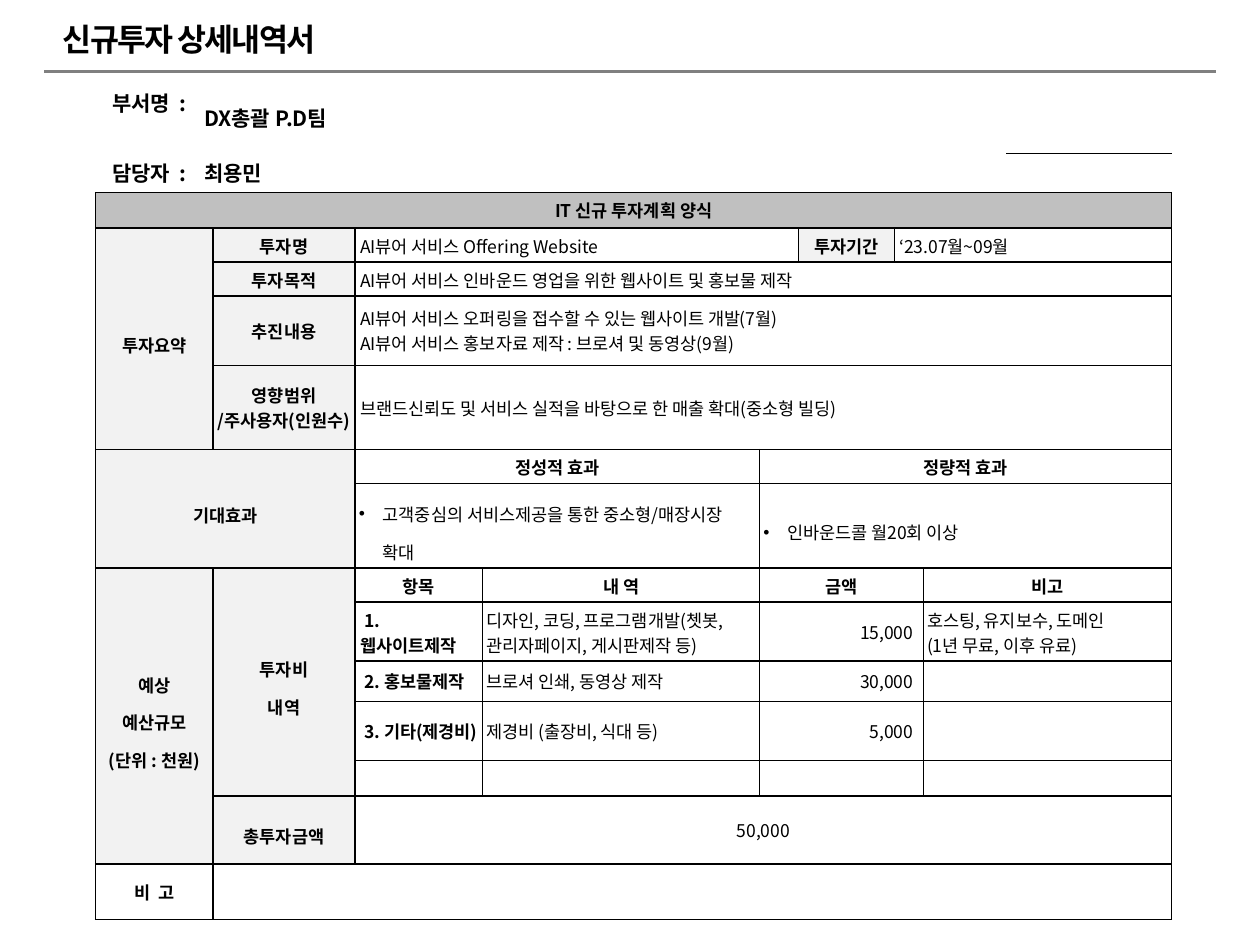
from copy import deepcopy
from dataclasses import dataclass
from itertools import product

from lxml.etree import SubElement
from pptx import Presentation
from pptx.dml.color import RGBColor
from pptx.enum.shapes import MSO_CONNECTOR as Connector
from pptx.enum.text import MSO_ANCHOR as Anchor, PP_ALIGN as Align
from pptx.oxml.ns import qn
from pptx.util import Inches, Pt


@dataclass(frozen=True)
class Theme:
    font: str = "Noto Sans CJK KR"
    ink: str = "000000"
    rule: str = "808080"
    banner: str = "C0C0C0"
    label: str = "F2F2F2"
    paper: str = "FFFFFF"
    title_size: int = 18
    contact_size: int = 12
    body_size: int = 10
    plain_table: str = "{2D5ABB26-0587-4C30-8999-92F81FD0307C}"


@dataclass(frozen=True)
class Entry:
    row: int
    col: int
    text: str = ""
    rows: int = 1
    cols: int = 1
    bold: bool = True
    align: Align = Align.CENTER
    fill: str | None = Theme.paper
    spacing: float | None = None
    bullet: bool = False
    left: float = 0.03
    right: float = 0.03
    top: float = 0.04
    size: int = Theme.body_size
    anchor: Anchor = Anchor.MIDDLE


THEME = Theme()
WIDTH, HEIGHT = Inches(10), Inches(7.5)
COLUMNS = [0.83, 0.09, 1.13, 1.01, 0.59, 1.61, 0.31, 0.76, 0.23, 0.66, 1.31]
ROWS = [0.56, 0.31, 0.28, 0.27, 0.27, 0.55, 0.67, 0.27,
        0.67, 0.27, 0.47, 0.32, 0.47, 0.28, 0.54, 0.44]
CONTACT_ROWS = 2
LAST_COL = len(COLUMNS) - 1

LABEL = dict(fill=THEME.label)
WIDE_LABEL = dict(fill=THEME.label, spacing=1.5)
VALUE = dict(bold=False, align=Align.LEFT, left=0.04, right=0.04)
DETAIL = dict(bold=False, align=Align.LEFT)
AMOUNT = dict(bold=False, align=Align.RIGHT, right=0.08)
ITEM = dict(align=Align.LEFT, left=0.04, right=0.04)
BULLET = dict(bold=False, align=Align.LEFT, spacing=1.5, bullet=True)
CONTACT = dict(align=Align.LEFT, fill=None, size=THEME.contact_size,
               anchor=Anchor.TOP, top=0.03)

COSTS = [
    (" 1. 웹사이트제작", "디자인, 코딩, 프로그램개발(쳇봇,관리자페이지, 게시판제작 등)",
     "15,000", "호스팅, 유지보수, 도메인\n(1년 무료, 이후 유료)"),
    (" 2. 홍보물제작", "브로셔 인쇄, 동영상 제작", "30,000", ""),
    (" 3. 기타(제경비)", "제경비 (출장비, 식대 등)", "5,000", ""),
    ("", "", "", ""),
]

ENTRIES = [
    Entry(0, 0, "부서명  :", **CONTACT | dict(left=0.13)),
    Entry(0, 1, "DX총괄 P.D팀", cols=10, **CONTACT | dict(anchor=Anchor.MIDDLE)),
    Entry(1, 0, "담당자  :", **CONTACT | dict(left=0.13)),
    Entry(1, 1, "최용민", cols=4, **CONTACT),
    Entry(1, 5, fill=None),
    Entry(1, 6, cols=2, fill=None),
    Entry(1, 8, cols=2, fill=None),
    Entry(1, 10, fill=None),
    Entry(2, 0, "IT 신규 투자계획 양식", cols=11, fill=THEME.banner),
    Entry(3, 0, "투자요약", rows=4, cols=2, **WIDE_LABEL),
    Entry(3, 2, "투자명", **LABEL),
    Entry(3, 3, "AI뷰어 서비스 Offering Website", cols=4, **VALUE),
    Entry(3, 7, "투자기간", **LABEL),
    Entry(3, 8, "‘23.07월~09월", cols=3, **VALUE),
    Entry(4, 2, "투자목적", **LABEL),
    Entry(4, 3, "AI뷰어 서비스 인바운드 영업을 위한 웹사이트 및 홍보물 제작", cols=8, **VALUE),
    Entry(5, 2, "추진내용", **LABEL),
    Entry(5, 3, "AI뷰어 서비스 오퍼링을 접수할 수 있는 웹사이트 개발(7월)\n"
          "AI뷰어 서비스 홍보자료 제작 : 브로셔 및 동영상(9월)", cols=8, **VALUE),
    Entry(6, 2, "영향범위\v/주사용자(인원수)", **LABEL),
    Entry(6, 3, "브랜드신뢰도 및 서비스 실적을 바탕으로 한 매출 확대(중소형 빌딩)", cols=8, **VALUE),
    Entry(7, 0, "기대효과", rows=2, cols=3, **WIDE_LABEL),
    Entry(7, 3, "정성적 효과", cols=3),
    Entry(7, 6, "정량적 효과", cols=5, fill=None),
    Entry(8, 3, "고객중심의 서비스제공을 통한 중소형/매장시장 확대", cols=3, **BULLET),
    Entry(8, 6, "인바운드콜 월20회 이상", cols=5, fill=None, **BULLET),
    Entry(9, 0, "예상\v예산규모\n(단위 : 천원)", rows=6, cols=2, **WIDE_LABEL),
    Entry(9, 2, "투자비\v내역", rows=5, **WIDE_LABEL),
    Entry(9, 3, "항목"),
    Entry(9, 4, "내 역", cols=2),
    Entry(9, 6, "금액", cols=3),
    Entry(9, 9, "비고", cols=2),
    Entry(14, 2, "총투자금액", **WIDE_LABEL),
    Entry(14, 3, "50,000", cols=8, bold=False),
    Entry(15, 0, "비  고", cols=2),
    Entry(15, 2, cols=9),
]
for cost_row, (item, detail, amount, note) in enumerate(COSTS, start=10):
    ENTRIES += [
        Entry(cost_row, 3, item, **ITEM),
        Entry(cost_row, 4, detail, cols=2, **DETAIL),
        Entry(cost_row, 6, amount, cols=3, **AMOUNT),
        Entry(cost_row, 9, note, cols=2, **DETAIL),
    ]


def write(frame, text: str, *, size: int, bold: bool = True, align: Align = Align.LEFT,
          spacing: float | None = None, bullet: bool = False, tracking: int = 0) -> None:
    for index, line in enumerate(text.split("\n")):
        paragraph = frame.add_paragraph() if index else frame.paragraphs[0]
        paragraph.text = line
        paragraph.alignment = align
        if spacing:
            paragraph.line_spacing = spacing
        if bullet:
            properties = paragraph._p.get_or_add_pPr()
            properties.set("marL", str(Inches(0.19)))
            properties.set("indent", str(-Inches(0.19)))
            SubElement(properties, qn("a:buFont"), typeface="Arial")
            SubElement(properties, qn("a:buChar"), char="•")
        for run in paragraph.runs:
            run.font.size = Pt(size)
            run.font.bold = bold
            run.font.color.rgb = RGBColor.from_string(THEME.ink)
            run.font.name = THEME.font
            character = run._r.get_or_add_rPr()
            character.set("kern", "0")
            SubElement(character, qn("a:ea"), typeface=THEME.font)
            if tracking:
                character.set("spc", str(tracking))
            for line_break in paragraph._p.findall(qn("a:br")):
                if not len(line_break):
                    line_break.append(deepcopy(character))
        if not line:
            SubElement(paragraph._p, qn("a:endParaRPr"), sz=str(size * 100))


def draw_borders(cell, sides: str) -> None:
    properties = cell._tc.get_or_add_tcPr()
    for position, side in enumerate(sides):
        border = properties.makeelement(qn(f"a:ln{side}"), {"w": str(Pt(1))})
        SubElement(SubElement(border, qn("a:solidFill")), qn("a:srgbClr"), val=THEME.ink)
        properties.insert(position, border)


def fill_entry(table, entry: Entry) -> None:
    cell = table.cell(entry.row, entry.col)
    if entry.rows * entry.cols > 1:
        cell.merge(table.cell(entry.row + entry.rows - 1, entry.col + entry.cols - 1))
    cell.margin_left, cell.margin_right = Inches(entry.left), Inches(entry.right)
    cell.margin_top, cell.margin_bottom = Inches(entry.top), Inches(0.04)
    cell.vertical_anchor = entry.anchor
    if entry.fill:
        cell.fill.solid()
        cell.fill.fore_color.rgb = RGBColor.from_string(entry.fill)
    else:
        cell.fill.background()
    write(cell.text_frame, entry.text, size=entry.size, bold=entry.bold, align=entry.align,
          spacing=entry.spacing, bullet=entry.bullet)


def draw_plan(slide) -> None:
    table = slide.shapes.add_table(len(ROWS), len(COLUMNS), Inches(0.76), Inches(0.66),
                                   Inches(sum(COLUMNS)), Inches(sum(ROWS))).table
    table.first_row = table.horz_banding = False
    table._tbl.tblPr.find(qn("a:tableStyleId")).text = THEME.plain_table
    for column, width in zip(table.columns, COLUMNS):
        column.width = Inches(width)
    for row, height in zip(table.rows, ROWS):
        row.height = Inches(height)
    for entry in ENTRIES:
        fill_entry(table, entry)
    for row, col in product(range(CONTACT_ROWS, len(ROWS)), range(len(COLUMNS))):
        draw_borders(table.cell(row, col), "LRTB")
    for col in range(len(COLUMNS)):
        draw_borders(table.cell(1, col), "TB" if col == LAST_COL else "B")


def draw_heading(slide) -> None:
    rule = slide.shapes.add_connector(Connector.STRAIGHT, int(WIDTH * 0.035), Inches(0.57),
                                      int(WIDTH * 0.965), Inches(0.57))
    rule.line.color.rgb = RGBColor.from_string(THEME.rule)
    rule.line.width = Pt(1.5)
    SubElement(rule._element.spPr, qn("a:effectLst"))
    frame = slide.shapes.add_textbox(Inches(0.5), Inches(0.17), Inches(4.07),
                                     Inches(0.28)).text_frame
    frame.word_wrap = True
    frame.vertical_anchor = Anchor.MIDDLE
    frame.margin_left = frame.margin_right = frame.margin_top = frame.margin_bottom = 0
    write(frame, "신규투자 상세내역서", size=THEME.title_size, tracking=-100)


def main() -> None:
    deck = Presentation()
    deck.slide_width, deck.slide_height = WIDTH, HEIGHT
    slide = deck.slides.add_slide(deck.slide_layouts[6])
    draw_heading(slide)
    draw_plan(slide)
    deck.save("out.pptx")


if __name__ == "__main__":
    main()
